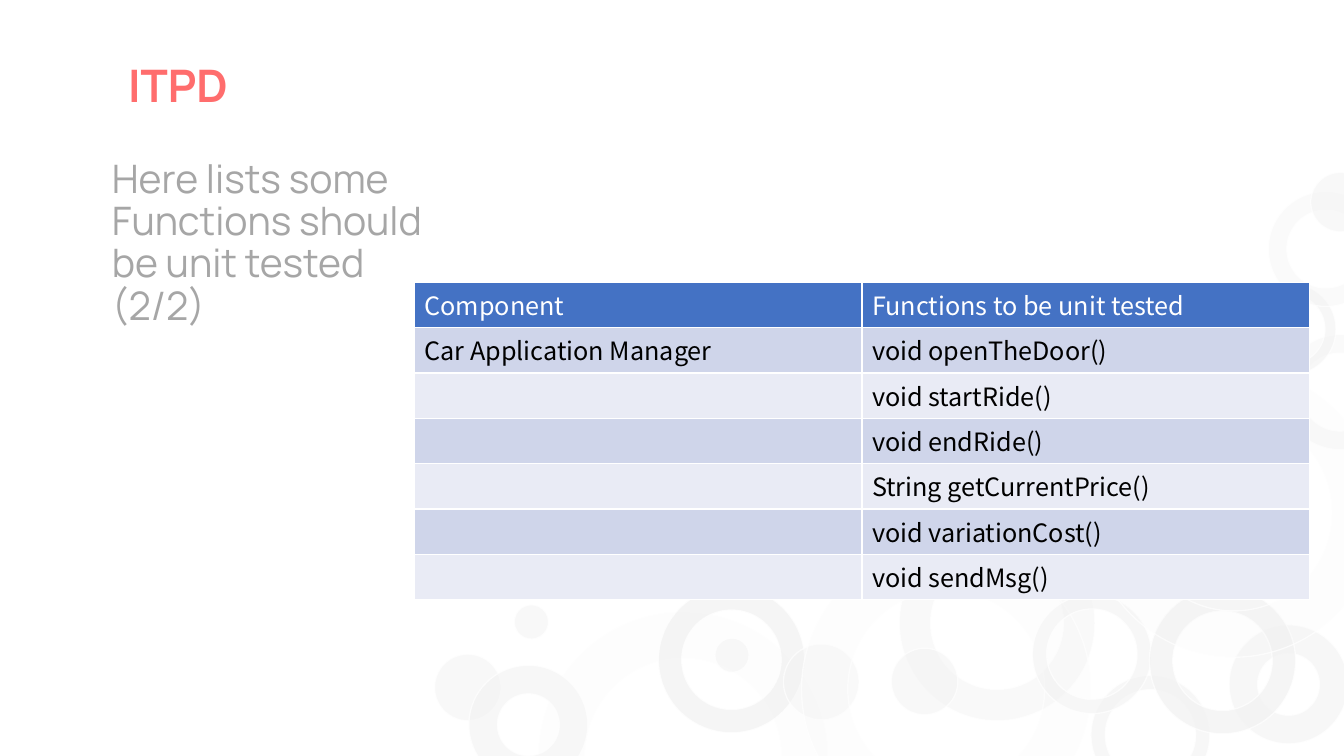
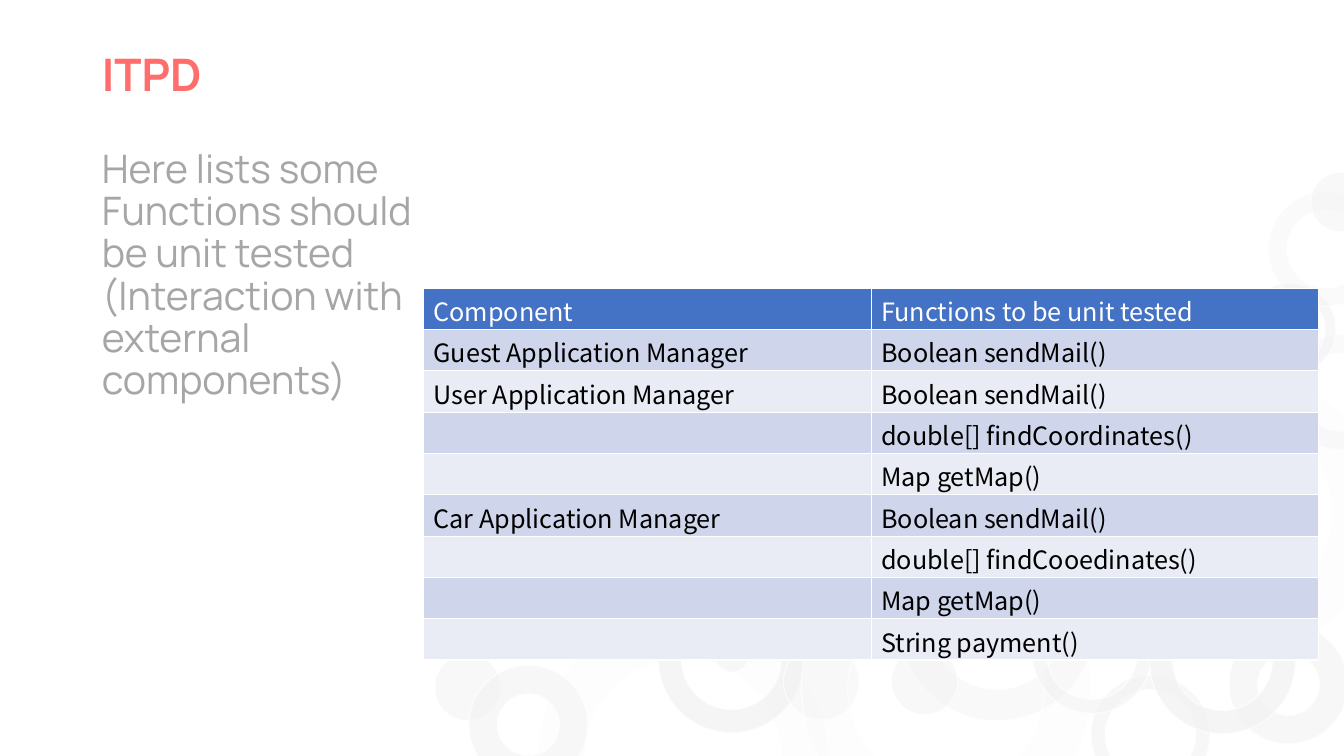
from pptx import Presentation
from pptx.dml.color import RGBColor
from pptx.enum.shapes import MSO_SHAPE
from pptx.enum.text import MSO_ANCHOR, MSO_AUTO_SIZE, PP_ALIGN
from pptx.oxml.ns import qn
from pptx.oxml.xmlchemy import OxmlElement
from pptx.util import Inches, Pt

DONUT, OVAL = MSO_SHAPE.DONUT, MSO_SHAPE.OVAL
TOP, LEFT = MSO_ANCHOR.TOP, PP_ALIGN.LEFT
GROW = MSO_AUTO_SIZE.SHAPE_TO_FIT_TEXT

# Shared look
CORAL, GRAY, WHITE, BLACK = "FF6D6D", "A6A6A6", "FFFFFF", "000000"
PALE, BLUE = "F2F2F2", "4472C4"
BANDS = ("CFD5EA", "E9EBF5")
SANS, CJK = "Manrope", "Noto Sans CJK SC"

# Circle kinds: size, ring thickness (None for a disc), opacity in percent
KINDS = {
    "huge": (2.87, 0.16, 13),
    "big": (1.94, 0.16, 42),
    "bold": (1.45, 0.16, 75),
    "thick": (1.18, 0.24, 54),
    "thin": (1.18, 0.12, 54),
    "faint": (1.14, 0.16, 31),
    "small": (0.91, 0.12, 54),
    "moon": (0.75, None, 39),
    "disc": (0.66, None, 47),
    "spot": (0.59, None, 47),
    "dot": (0.34, None, 47),
}

# Clusters of circles: rotation, then kind, left and top of each
CLUSTERS = [
    (101.7, [("bold", 11.5, 4.36), ("faint", 12.72, 3.32),
             ("huge", 5.34, 6.07), ("thin", 10.82, 6.7),
             ("small", 12.34, 2.81), ("disc", 12.31, 4.26),
             ("dot", 12.02, 3.51)]),
    (341.7, [("big", 8.92, 5.21), ("bold", 6.53, 5.82),
             ("moon", 7.77, 6.39), ("spot", 9.65, 4.92),
             ("huge", 7.95, 5.4), ("thin", 10.24, 5.9),
             ("small", 10.37, 4.88), ("thick", 12.19, 6.2),
             ("dot", 7.92, 5.27), ("disc", 4.31, 6.49),
             ("dot", 7.09, 6.33), ("dot", 10.2, 4.45)]),
    (176.7, [("bold", 11.4, 5.83), ("faint", 12.58, 1.9),
             ("spot", 13, 1.71), ("huge", 10.8, 3.65),
             ("small", 11.77, 3.3), ("thick", 4.65, 6.6),
             ("dot", 12.59, 3.12), ("disc", 8.84, 6.43),
             ("dot", 5.1, 6)]),
]

HEAD = ("Component", "Functions to be unit tested")


def paint(part, color):
    """Give a fill a solid colour."""
    part.solid()
    part.fore_color.rgb = RGBColor.from_string(color)


def write(frame, text, size=18, color=BLACK, font=SANS, bold=False, space=None):
    """Fill a text frame, one paragraph per line of text."""
    frame.text = text
    for para in frame.paragraphs:
        para.alignment = LEFT
        para.space_before = Pt(0)
        para.line_spacing = space
        for run in para.runs:
            face = run.font
            face.name, face.size, face.bold = font, Pt(size), bold
            face.color.rgb = RGBColor.from_string(color)


def fade(color, percent):
    """Set the opacity of a colour element."""
    alpha = OxmlElement("a:alpha")
    alpha.set("val", str(percent * 1000))
    color.append(alpha)


def add_ring(slide, kind, left, top, turn):
    size, hole, alpha = KINDS[kind]
    ring = slide.shapes.add_shape(DONUT if hole else OVAL, Inches(left),
                                  Inches(top), Inches(size), Inches(size))
    if hole:
        ring.adjustments[0] = hole
    ring.rotation = turn
    ring.shadow.inherit = False
    paint(ring.fill, PALE)
    paint(ring.line.fill, WHITE)
    ring.line.width = Pt(1)
    colors = ring.element.spPr.iter(qn("a:srgbClr"))
    for color, percent in zip(list(colors), (alpha, 70)):
        fade(color, percent)
    return ring


def add_backdrop(slide):
    """Draw the circles once and move them to the shared layout."""
    tree = slide.slide_layout.shapes.element
    rings = [add_ring(slide, *spot, turn)
             for turn, spots in CLUSTERS for spot in spots]
    for num, ring in enumerate(rings, 100):
        ring.element.nvSpPr.cNvPr.set("id", str(num))
        tree.append(ring.element)


def place(shape, box):
    """Move a placeholder and let it grow with its text."""
    shape.left, shape.top, shape.width, shape.height = map(Inches, box)
    frame = shape.text_frame
    frame.word_wrap = True
    frame.auto_size = GROW
    frame.vertical_anchor = TOP
    return frame


def add_title(slide, text, box):
    write(place(slide.shapes.title, box), text, size=32, color=CORAL,
          bold=True, space=0.9)


def add_body(slide, text, box):
    frame = place(slide.placeholders[1], box)
    write(frame, text, size=28, color=GRAY, space=0.9)
    for para in frame.paragraphs:
        props = para._p.get_or_add_pPr()
        props.set("marL", "0")
        props.set("indent", "0")
        props.append(OxmlElement("a:buNone"))


def add_edges(cell):
    """Draw thin white borders, placed before the fill."""
    props = cell._tc.get_or_add_tcPr()
    for pos, side in enumerate(("lnL", "lnR", "lnT", "lnB")):
        edge = OxmlElement("a:" + side)
        edge.set("w", str(Pt(1)))
        fill = OxmlElement("a:solidFill")
        color = OxmlElement("a:srgbClr")
        color.set("val", WHITE)
        fill.append(color)
        edge.append(fill)
        props.insert(pos, edge)


def add_grid(slide, rows, left, top, pitch):
    rows = [HEAD] + rows
    grid = slide.shapes.add_table(
        len(rows), len(HEAD), Inches(left), Inches(top),
        Inches(8.88), Inches(pitch * len(rows))).table
    for num, row in enumerate(rows):
        grid.rows[num].height = Inches(pitch)
        for col, text in enumerate(row):
            cell = grid.cell(num, col)
            cell.margin_top, cell.margin_bottom = Inches(0.04), 0
            paint(cell.fill, BANDS[(num - 1) % 2] if num else BLUE)
            add_edges(cell)
            if text:
                write(cell.text_frame, text, font=CJK,
                      color=BLACK if num else WHITE)


def main():
    deck = Presentation()
    deck.slide_width, deck.slide_height = Inches(13.33), Inches(7.5)
    layout = deck.slide_layouts[1]

    # Car functions
    slide = deck.slides.add_slide(layout)
    add_backdrop(slide)
    add_title(slide, "ITPD", (1.17, 0.58, 2.51, 0.94))
    add_body(slide, "Here lists some\nFunctions should\nbe unit tested\n(2/2)",
             (1.01, 1.53, 4.66, 1.99))
    add_grid(slide, [
        ("Car Application Manager", "void openTheDoor()"),
        ("", "void startRide()"),
        ("", "void endRide()"),
        ("", "String getCurrentPrice()"),
        ("", "void variationCost()"),
        ("", "void sendMsg()"),
    ], 4.11, 2.8, 0.45)

    # Functions that call external components
    slide = deck.slides.add_slide(layout)
    add_title(slide, "ITPD", (0.91, 0.47, 2.29, 0.64))
    add_body(slide, "Here lists some\nFunctions should\n"
             "be unit tested (Interaction with external components)",
             (0.91, 1.43, 3.29, 2.93))
    add_grid(slide, [
        ("Guest Application Manager", "Boolean sendMail()"),
        ("User Application Manager", "Boolean sendMail()"),
        ("", "double[] findCoordinates()"),
        ("", "Map getMap()"),
        ("Car Application Manager", "Boolean sendMail()"),
        ("", "double[] findCooedinates()"),
        ("", "Map getMap()"),
        ("", "String payment()"),
    ], 4.2, 2.86, 0.41)

    deck.save("out.pptx")


if __name__ == "__main__":
    main()
